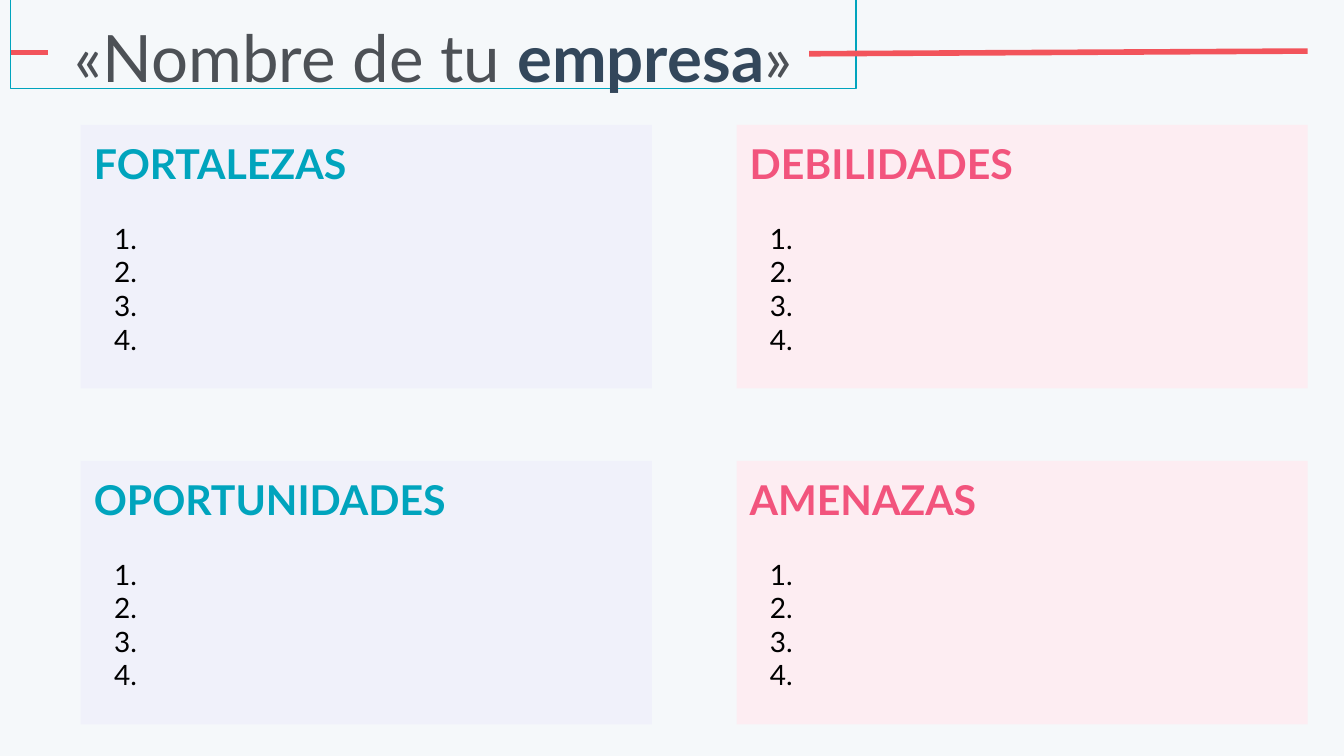
from lxml import etree
from pptx import Presentation
from pptx.dml.color import RGBColor
from pptx.enum.shapes import MSO_CONNECTOR, MSO_SHAPE
from pptx.enum.text import MSO_ANCHOR, PP_ALIGN
from pptx.oxml.ns import qn
from pptx.util import Inches, Pt

RECTANGLE = MSO_SHAPE.RECTANGLE
STRAIGHT = MSO_CONNECTOR.STRAIGHT
TOP = MSO_ANCHOR.TOP
LEFT = PP_ALIGN.LEFT
CENTER = PP_ALIGN.CENTER

BACKGROUND = RGBColor(0xF5, 0xF8, 0xFA)
LAVENDER = RGBColor(0xF0, 0xF1, 0xFA)
BLUSH = RGBColor(0xFD, 0xED, 0xF2)
TEAL = RGBColor(0x00, 0xA4, 0xBD)
PINK = RGBColor(0xF2, 0x54, 0x7D)
CORAL = RGBColor(0xF2, 0x54, 0x5B)
GRAY = RGBColor(0x4D, 0x51, 0x56)
NAVY = RGBColor(0x33, 0x47, 0x5B)
BLACK = RGBColor(0, 0, 0)

FONT = "Lato"
SLIDE_WIDTH = Inches(10)
SLIDE_HEIGHT = SLIDE_WIDTH * 9 // 16
GRID_LEFT, GRID_TOP = 0.6, 0.93
COLUMN_STEP, ROW_STEP = 4.88, 2.5
PANEL_WIDTH, PANEL_HEIGHT = 4.25, 1.96
ITEM_COUNT = 4
ITEM_SIZE = 15

PANELS = [
    ("FORTALEZAS", 0, 0),
    ("OPORTUNIDADES", 0, 1),
    ("DEBILIDADES", 1, 0),
    ("AMENAZAS", 1, 1),
]
COLUMN_COLORS = [(LAVENDER, TEAL), (BLUSH, PINK)]
TITLE_RUNS = [
    ("«Nombre de tu ", GRAY, False),
    ("empresa", NAVY, True),
    ("»", GRAY, False),
]
RULES = [(6.02, 0.4, 9.73, 0.38), (0.08, 0.39, 0.36, 0.39)]


def add_run(paragraph, text, size, color, bold=False):
    run = paragraph.add_run()
    run.text = text
    run.font.name = FONT
    run.font.size = Pt(size)
    run.font.bold = bold
    run.font.color.rgb = color


def add_box(slide, left, top, width, height):
    shape = slide.shapes.add_shape(
        RECTANGLE, Inches(left), Inches(top), Inches(width), Inches(height)
    )
    shape.shadow.inherit = False
    frame = shape.text_frame
    frame.word_wrap = True
    frame.vertical_anchor = TOP
    frame.margin_left = frame.margin_right = Inches(0.1)
    frame.margin_top = frame.margin_bottom = Inches(0.1)
    return shape


def set_numbering(paragraph):
    properties = paragraph._p.get_or_add_pPr()
    properties.set("marL", str(Inches(0.5)))
    properties.set("indent", str(Inches(-0.35)))
    color = etree.SubElement(properties, qn("a:buClr"))
    etree.SubElement(color, qn("a:srgbClr")).set("val", str(BLACK))
    etree.SubElement(properties, qn("a:buFont")).set("typeface", FONT)
    etree.SubElement(properties, qn("a:buAutoNum")).set("type", "arabicPeriod")


def add_panel(slide, heading, column, row):
    fill_color, heading_color = COLUMN_COLORS[column]
    shape = add_box(
        slide,
        GRID_LEFT + column * COLUMN_STEP,
        GRID_TOP + row * ROW_STEP,
        PANEL_WIDTH,
        PANEL_HEIGHT,
    )
    shape.fill.solid()
    shape.fill.fore_color.rgb = fill_color
    shape.line.fill.background()
    frame = shape.text_frame
    paragraph = frame.paragraphs[0]
    paragraph.alignment = LEFT
    add_run(paragraph, heading, 22, heading_color, True)
    for index in range(ITEM_COUNT):
        paragraph = frame.add_paragraph()
        paragraph.alignment = LEFT
        paragraph.space_before = Pt(18 if index == 0 else 0)
        set_numbering(paragraph)
        add_run(paragraph, " ", ITEM_SIZE, BLACK)


def add_title(slide):
    shape = add_box(slide, 0.08, -0.06, 6.29, 0.72)
    shape.fill.background()
    shape.line.color.rgb = TEAL
    shape.line.width = Pt(0.75)
    paragraph = shape.text_frame.paragraphs[0]
    paragraph.alignment = CENTER
    paragraph.line_spacing = 1.15
    paragraph.space_after = Pt(16)
    for text, color, bold in TITLE_RUNS:
        add_run(paragraph, text, 35, color, bold)


def add_rule(slide, *ends):
    connector = slide.shapes.add_connector(STRAIGHT, *map(Inches, ends))
    connector.line.color.rgb = CORAL
    connector.line.width = Pt(3)
    etree.SubElement(connector._element.spPr, qn("a:effectLst"))


def main():
    presentation = Presentation()
    presentation.slide_width = SLIDE_WIDTH
    presentation.slide_height = SLIDE_HEIGHT
    slide = presentation.slides.add_slide(presentation.slide_layouts[6])
    slide.background.fill.solid()
    slide.background.fill.fore_color.rgb = BACKGROUND
    for heading, column, row in PANELS:
        add_panel(slide, heading, column, row)
    add_title(slide)
    for ends in RULES:
        add_rule(slide, *ends)
    presentation.save("out.pptx")


if __name__ == "__main__":
    main()
